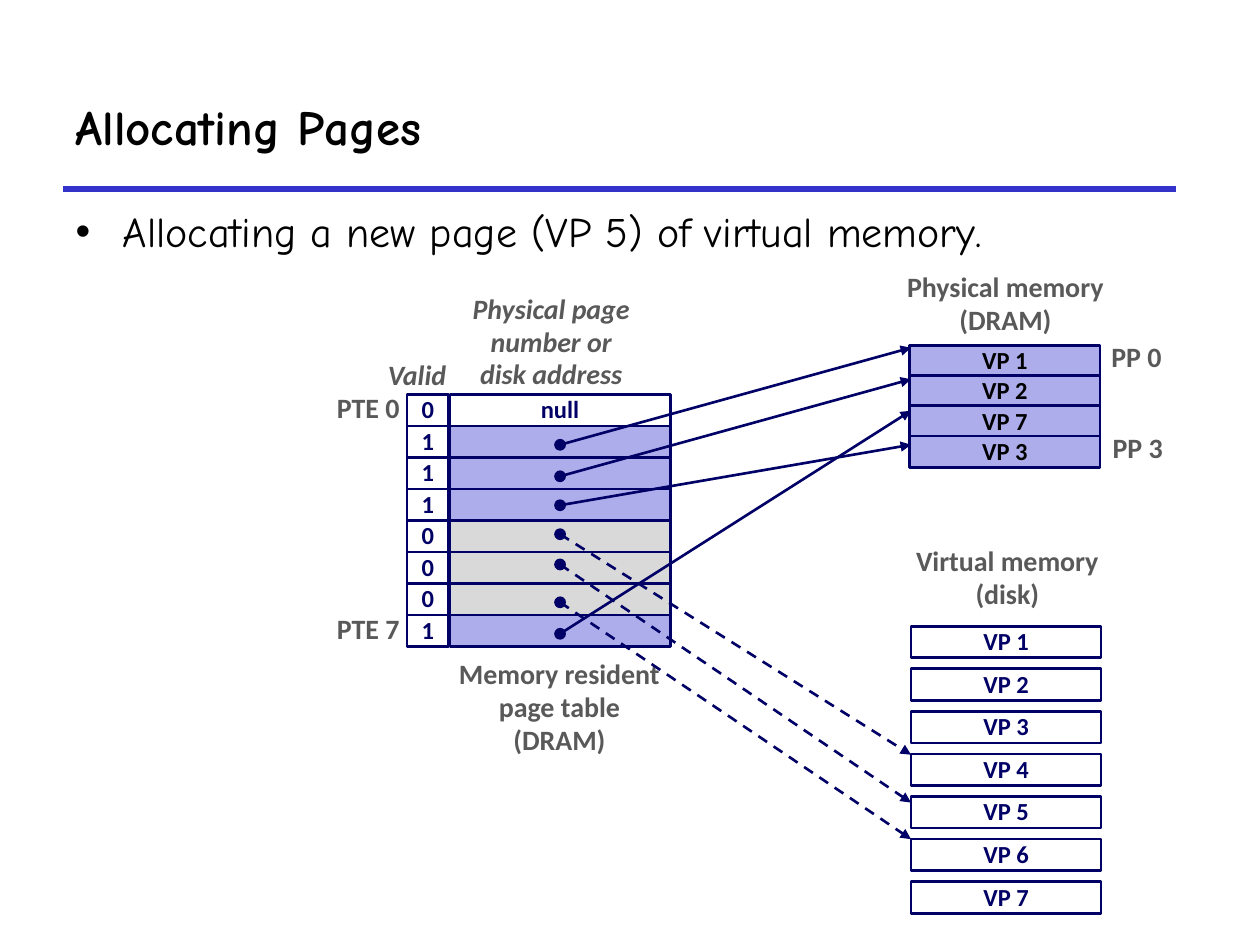
from lxml import etree
from pptx import Presentation
from pptx.dml.color import RGBColor
from pptx.enum.dml import MSO_LINE
from pptx.enum.shapes import MSO_CONNECTOR, MSO_SHAPE
from pptx.enum.text import MSO_ANCHOR, MSO_AUTO_SIZE, PP_ALIGN
from pptx.oxml.ns import qn
from pptx.util import Inches, Pt

LEFT, CENTER, RIGHT = PP_ALIGN.LEFT, PP_ALIGN.CENTER, PP_ALIGN.RIGHT
TOP, MIDDLE = MSO_ANCHOR.TOP, MSO_ANCHOR.MIDDLE
RECTANGLE, OVAL = MSO_SHAPE.RECTANGLE, MSO_SHAPE.OVAL
STRAIGHT, DASH = MSO_CONNECTOR.STRAIGHT, MSO_LINE.DASH
NO_AUTOFIT = MSO_AUTO_SIZE.NONE

COLORS = {
    "navy": "000066", "rule": "3333CC", "lilac": "ADADEB", "gray": "D9D9D9",
    "white": "FFFFFF", "label": "595959", "black": "000000",
}

# Grid in inches: page table columns, memory column and row pitches
ROW = 0.25
VALID_LEFT, VALID_WIDTH = 3.23, 0.33
ENTRY_LEFT, ENTRY_WIDTH = 3.57, 1.75
TABLE_TOP = 3.13
MEMORY_LEFT, MEMORY_WIDTH = 7.22, 1.51
PHYSICAL_TOP, PHYSICAL_PITCH = 2.74, 0.24
DISK_TOP, DISK_PITCH = 4.97, 0.338
DOT = 0.08


def write_text(shape, text, size=14, color="navy", font="Calibri", bold=True, italic=False,
               align=CENTER, anchor=MIDDLE, wrap=False, spacing=0.98, before=0):
    frame = shape.text_frame
    frame.text = text
    frame.auto_size = NO_AUTOFIT
    frame.word_wrap = wrap
    frame.vertical_anchor = anchor
    for paragraph in frame.paragraphs:
        paragraph.alignment = align
        paragraph.line_spacing = spacing
        paragraph.space_before = Pt(before)
        for run in paragraph.runs:
            run.font.name = font
            run.font.size = Pt(size)
            run.font.bold = bold
            run.font.italic = italic
            run.font.color.rgb = RGBColor.from_string(COLORS[color])


def add_box(left, top, width, height, fill=None, kind=RECTANGLE, line_width=1.5):
    shape = slide.shapes.add_shape(
        kind, Inches(left), Inches(top), Inches(width), Inches(height))
    shape.shadow.inherit = False
    if fill:
        shape.fill.solid()
        shape.fill.fore_color.rgb = RGBColor.from_string(COLORS[fill])
    else:
        shape.fill.background()
    shape.line.color.rgb = RGBColor.from_string(COLORS["navy"])
    shape.line.width = Pt(line_width)
    return shape


presentation = Presentation()
presentation.slide_width, presentation.slide_height = Inches(10), Inches(7.5)
slide = presentation.slides.add_slide(presentation.slide_layouts[1])

# Title and bullet
title, body = slide.placeholders
title.left, title.top, title.width, title.height = map(Inches, (0.5, 0.5, 8.83, 1))
write_text(title, "Allocating Pages", size=28, color="black", font="Comic Neue",
           align=LEFT, wrap=True, spacing=1.0)
body.left, body.top, body.width, body.height = map(Inches, (0.5, 1.58, 9.08, 4.83))
write_text(body, "Allocating a new page (VP 5) of virtual memory.", size=24, color="black",
           font="Comic Neue", bold=False, align=LEFT, anchor=TOP, wrap=True,
           spacing=1.0, before=6)

# Page table: valid bit and entry on each row
page_table = [("0", "white"), ("1", "lilac"), ("1", "lilac"), ("1", "lilac"),
              ("0", "gray"), ("0", "gray"), ("0", "gray"), ("1", "lilac")]
for row, (valid, fill) in enumerate(page_table):
    top = TABLE_TOP + row * ROW
    write_text(add_box(VALID_LEFT, top, VALID_WIDTH, ROW), valid)
    entry = add_box(ENTRY_LEFT, top, ENTRY_WIDTH, ROW, fill)
    if row == 0:
        write_text(entry, "null")

# Physical memory pages, then virtual memory pages on disk
for row, page in enumerate((1, 2, 7, 3)):
    box = add_box(MEMORY_LEFT, PHYSICAL_TOP + row * PHYSICAL_PITCH, MEMORY_WIDTH, ROW, "lilac")
    write_text(box, f"VP {page}", color="black")
for row in range(7):
    box = add_box(MEMORY_LEFT + 0.01, DISK_TOP + row * DISK_PITCH, MEMORY_WIDTH, ROW, "white")
    write_text(box, f"VP {row + 1}")

# Labels: text, left, top, width, height, format
labels = [
    ("Valid", 2.98, 2.8, 0.75, 0.36, {"italic": True, "align": LEFT, "wrap": True}),
    ("Physical page\nnumber or\ndisk address", 3.65, 2.27, 1.45, 0.89, {"italic": True}),
    ("PTE 0", 2.57, 3.06, 0.7, 0.36, {"align": RIGHT}),
    ("PTE 7", 2.57, 4.82, 0.7, 0.36, {"align": RIGHT}),
    ("Memory resident\npage table\n(DRAM)", 3.54, 5.17, 1.8, 0.89, {}),
    ("Physical memory\n(DRAM)", 7.1, 2.1, 1.76, 0.62, {}),
    ("PP 0", 8.72, 2.66, 0.6, 0.36, {}),
    ("PP 3", 8.73, 3.38, 0.6, 0.36, {}),
    ("Virtual memory\n(disk)", 7.17, 4.28, 1.65, 0.62, {}),
]
for text, left, top, width, height, text_format in labels:
    label = slide.shapes.add_textbox(Inches(left), Inches(top), Inches(width), Inches(height))
    write_text(label, text, size=16, color="label", **text_format)

# Title rule and pointers: start, end, color, width, dashed, arrowhead
connectors = [((0.5, 1.5), (9.33, 1.5), "rule", 3, False, False)]
dot_center = ENTRY_LEFT + ENTRY_WIDTH / 2
pointers = [(3.53, 2.76, False), (3.78, 3.01, False), (4.01, 3.53, False), (4.24, 5.99, True),
            (4.48, 6.37, True), (4.78, 6.66, True), (5.03, 3.26, False)]
for start, end, dashed in pointers:
    connectors.append(((dot_center, start), (MEMORY_LEFT + 0.01, end), "navy", 1.5, dashed, True))

for start, end, color, width, dashed, arrow in connectors:
    connector = slide.shapes.add_connector(STRAIGHT, *map(Inches, start + end))
    connector.line.color.rgb = RGBColor.from_string(COLORS[color])
    connector.line.width = Pt(width)
    if dashed:
        connector.line.dash_style = DASH
    if arrow:
        etree.SubElement(connector.line._get_or_add_ln(), qn("a:tailEnd"), type="triangle")
    etree.SubElement(connector._element.spPr, qn("a:effectLst"))

# Dots where the pointers start
for center, _, _ in pointers:
    add_box(dot_center - DOT / 2, center - DOT / 2, DOT, DOT, "navy", OVAL, 1)

presentation.save("out.pptx")
